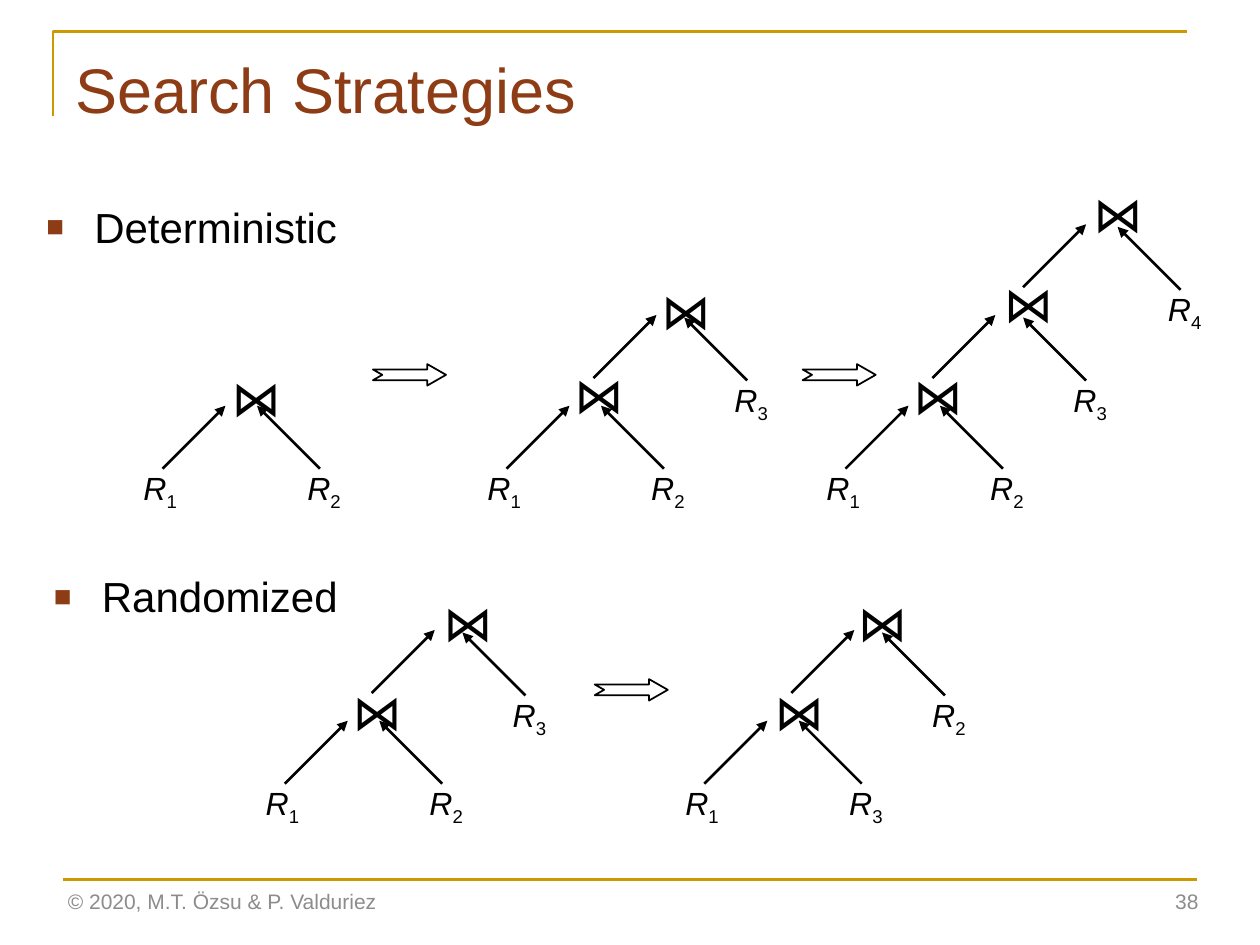
from lxml import etree
from pptx import Presentation
from pptx.dml.color import RGBColor
from pptx.enum.shapes import MSO_CONNECTOR, MSO_SHAPE
from pptx.enum.text import MSO_ANCHOR, MSO_AUTO_SIZE, PP_ALIGN
from pptx.oxml.ns import qn
from pptx.util import Emu, Pt

PX = 9144
STRAIGHT = MSO_CONNECTOR.STRAIGHT
NOTCHED_ARROW = MSO_SHAPE.NOTCHED_RIGHT_ARROW
MIDDLE = MSO_ANCHOR.MIDDLE
FIT_SHAPE = MSO_AUTO_SIZE.SHAPE_TO_FIT_TEXT
LEFT, RIGHT = PP_ALIGN.LEFT, PP_ALIGN.RIGHT

COLORS = {"gold": "CC9900", "brown": "8D3C15", "black": "000000", "grey": "8C8C8C"}
SANS, SYMBOL = "Arial", "Noto Sans CJK JP"

TITLE = "Search Strategies"
STRATEGIES = [("Deterministic", 27, 155), ("Randomized", 33, 448)]
FOOTER = [
    ("© 2020, M.T. Özsu & P. Valduriez", (44, 695, 338, 40), LEFT),
    ("38", (736, 695, 225, 40), RIGHT),
]
TREES = [
    {"base": (129, 372), "relations": "12", "joins": [(174, 287)]},
    {"base": (402, 372), "relations": "123", "joins": [(446, 284), (515, 218)]},
    {"base": (671, 372), "relations": "1234",
     "joins": [(715, 285), (787, 212), (858, 141)]},
    {"base": (226, 622), "relations": "123", "joins": [(270, 536), (342, 465)]},
    {"base": (559, 622), "relations": "132", "joins": [(605, 536), (671, 465)]},
]
LEVELS = [
    {"left": (0, 0), "right": (125, 0)},
    {"left": (69, -72), "right": (191, -70)},
    {"left": (141, -144), "right": (266, -142)},
]
BRANCH = 50
TRANSFORMS = [(296, 289), (637, 289), (472, 539)]

prs = Presentation()
prs.slide_width, prs.slide_height = Emu(1000 * PX), Emu(750 * PX)
slide = prs.slides.add_slide(prs.slide_layouts[6])
shapes = slide.shapes


def px(*lengths):
    return [Emu(length * PX) for length in lengths]


def color(name):
    return RGBColor.from_string(COLORS[name])


def add_text_box(box, wrap=True):
    frame = shapes.add_textbox(*px(*box)).text_frame
    frame.word_wrap = wrap
    if not wrap:
        frame.auto_size = FIT_SHAPE
    return frame


def add_run(paragraph, text, size, ink="black", face=SANS):
    run = paragraph.add_run()
    run.text = text
    run.font.size = Pt(size)
    run.font.name = face
    run.font.color.rgb = color(ink)
    return run


def add_line(start, end, ink="black", arrow=False):
    line = shapes.add_connector(STRAIGHT, *px(*start, *end))
    line.line.color.rgb = color(ink)
    line.line.width = Pt(1.5)
    properties = line._element.spPr
    if arrow:
        etree.SubElement(properties.find(qn("a:ln")), qn("a:tailEnd"), type="triangle")
    etree.SubElement(properties, qn("a:effectLst"))


def add_strategy(name, x, y):
    paragraph = add_text_box((x, y, 268, 51)).paragraphs[0]
    paragraph.space_before = Pt(3)
    properties = paragraph._p.get_or_add_pPr()
    indent = 38 * PX
    properties.set("marL", str(indent))
    properties.set("indent", str(-indent))
    bullet_color = etree.SubElement(properties, qn("a:buClr"))
    etree.SubElement(bullet_color, qn("a:srgbClr"), val=COLORS["brown"])
    etree.SubElement(properties, qn("a:buSzPct"), val="70000")
    etree.SubElement(properties, qn("a:buFont"), typeface=SANS)
    etree.SubElement(properties, qn("a:buChar"), char="■")
    add_run(paragraph, name, 24)


def add_relation(index, x, y):
    paragraph = add_text_box((x, y, 48, 41), wrap=False).paragraphs[0]
    add_run(paragraph, "R", 18.3).font.italic = True
    subscript = add_run(paragraph, index, 18.3)
    subscript.font._element.set("baseline", "-25000")


def add_join(x, y):
    paragraph = add_text_box((x, y, 40, 57), wrap=False).paragraphs[0]
    join = add_run(paragraph, "⋈", 28.1, face=SYMBOL)
    etree.SubElement(join.font._element, qn("a:ea"), typeface=SYMBOL)


def add_tree(base, relations, joins):
    x, y = base
    add_relation(relations[0], x - 25, y - 5)
    for index, level, join in zip(relations[1:], LEVELS, joins):
        left_x, left_y = x + level["left"][0], y + level["left"][1]
        right_x, right_y = x + level["right"][0], y + level["right"][1]
        add_line((left_x, left_y), (left_x + BRANCH, left_y - BRANCH), arrow=True)
        add_line((right_x, right_y), (right_x - BRANCH, right_y - BRANCH), arrow=True)
        add_relation(index, right_x - 20, right_y - 5)
        add_join(*join)


def add_transform(x, y):
    arrow = shapes.add_shape(NOTCHED_ARROW, *px(x, y, 58, 17))
    arrow.adjustments[0], arrow.adjustments[1] = 0.5, 0.875
    arrow.shadow.inherit = False
    arrow.fill.background()
    arrow.line.color.rgb = color("black")
    arrow.line.width = Pt(1)


outline = shapes.build_freeform(42, 92, scale=PX)
outline.add_line_segments([(42, 25), (942, 25)], close=False)
corner = outline.convert_to_shape()
corner.shadow.inherit = False
corner.fill.background()
corner.line.color.rgb = color("gold")
corner.line.width = Pt(1.5)
add_line((50, 698), (950, 698), "gold")

heading = add_text_box((50, 30, 900, 125))
heading.margin_top = px(10)[0]
add_run(heading.paragraphs[0], TITLE, 36, "brown")

for strategy in STRATEGIES:
    add_strategy(*strategy)
for tree in TREES:
    add_tree(**tree)
for transform in TRANSFORMS:
    add_transform(*transform)

for text, box, alignment in FOOTER:
    footer = add_text_box(box)
    footer.vertical_anchor = MIDDLE
    footer.paragraphs[0].alignment = alignment
    add_run(footer.paragraphs[0], text, 12, "grey")

prs.save("out.pptx")
